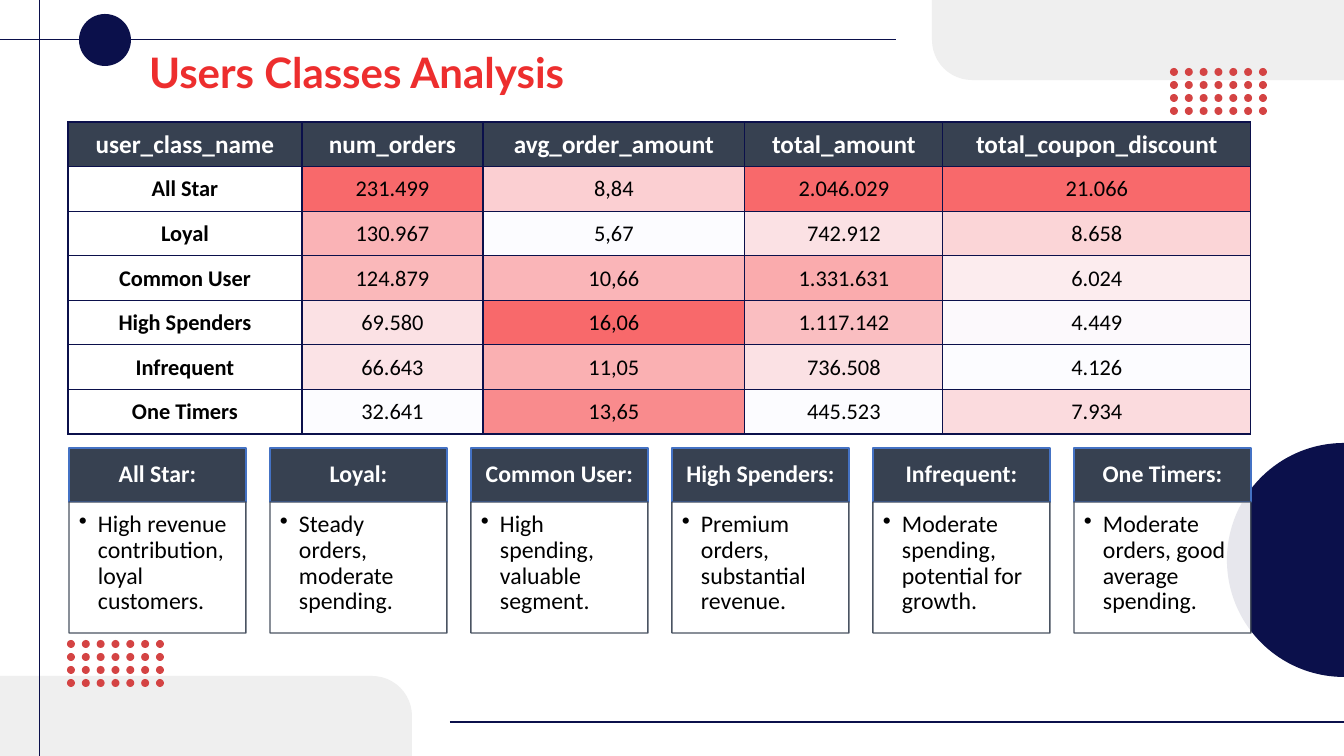
from lxml import etree
from pptx import Presentation
from pptx.dml.color import RGBColor
from pptx.enum.shapes import MSO_CONNECTOR, MSO_SHAPE
from pptx.enum.text import MSO_ANCHOR, PP_ALIGN
from pptx.oxml.ns import qn
from pptx.util import Pt

SCALE = 914400 / 100.8  # EMU in one pixel

NAVY = RGBColor(0x0B, 0x10, 0x4B)
SLATE = RGBColor(0x37, 0x41, 0x51)
BLUE = RGBColor(0x44, 0x72, 0xC4)
RED = RGBColor(0xED, 0x2E, 0x2E)
CORAL = RGBColor(0xD4, 0x43, 0x43)
GREY = RGBColor(0xEF, 0xEF, 0xEF)
WHITE = RGBColor(0xFF, 0xFF, 0xFF)
BLACK = RGBColor(0, 0, 0)
PALE = RGBColor(0xFC, 0xFC, 0xFF)
HOT = RGBColor(0xF8, 0x69, 0x6B)

RECT = MSO_SHAPE.RECTANGLE
OVAL = MSO_SHAPE.OVAL
PIE = MSO_SHAPE.PIE
ROUND = MSO_SHAPE.ROUND_1_RECTANGLE
STRAIGHT = MSO_CONNECTOR.STRAIGHT
TOP, MIDDLE, BOTTOM = MSO_ANCHOR.TOP, MSO_ANCHOR.MIDDLE, MSO_ANCHOR.BOTTOM
LEFT, CENTER = PP_ALIGN.LEFT, PP_ALIGN.CENTER

HEADS = ["user_class_name", "num_orders", "avg_order_amount",
         "total_amount", "total_coupon_discount"]
WIDTHS = [234, 181, 262, 198, 308]
ROWS = [
    ["All Star", "231.499", "8,84", "2.046.029", "21.066"],
    ["Loyal", "130.967", "5,67", "742.912", "8.658"],
    ["Common User", "124.879", "10,66", "1.331.631", "6.024"],
    ["High Spenders", "69.580", "16,06", "1.117.142", "4.449"],
    ["Infrequent", "66.643", "11,05", "736.508", "4.126"],
    ["One Timers", "32.641", "13,65", "445.523", "7.934"],
]
NOTES = [
    "High revenue contribution, loyal customers.",
    "Steady orders, moderate spending.",
    "High spending, valuable segment.",
    "Premium orders, substantial revenue.",
    "Moderate spending, potential for growth.",
    "Moderate orders, good average spending.",
]


def px(*sizes):
    """Turn pixels into a list of EMU lengths."""
    return [round(size * SCALE) for size in sizes]


def add_form(slide, kind, box, fill, line=None):
    """Add a flat preset shape, with a 1 pt outline if a line colour is given."""
    form = slide.shapes.add_shape(kind, *px(*box))
    form.shadow.inherit = False
    form.fill.solid()
    form.fill.fore_color.rgb = fill
    if line is None:
        form.line.fill.background()
    else:
        form.line.color.rgb = line
        form.line.width = Pt(1)
    return form


def add_rule(slide, *ends):
    """Add a thin navy line between two points."""
    rule = slide.shapes.add_connector(STRAIGHT, *px(*ends))
    rule.line.color.rgb = NAVY
    rule.line.width = Pt(0.75)
    etree.SubElement(rule.element.spPr, qn("a:effectLst"))


def add_dots(slide, left, top):
    """Add a grid of seven by four dots."""
    for row in range(4):
        for col in range(7):
            box = (left + col * 89 / 6, top + row * 13, 8, 8)
            add_form(slide, OVAL, box, CORAL)


def style(para, size, color, bold=False, align=CENTER, face="Calibri"):
    """Set the font and alignment of a paragraph."""
    para.alignment = align
    font = para.font
    font.name, font.size, font.bold = face, Pt(size), bold
    font.color.rgb = color


def write(shape, text, anchor, pads):
    """Put wrapped text in a shape and return its tightly set paragraph."""
    frame = shape.text_frame
    frame.word_wrap = True
    frame.vertical_anchor = anchor
    (frame.margin_left, frame.margin_top,
     frame.margin_right, frame.margin_bottom) = px(*pads)
    para = frame.paragraphs[0]
    para.text = text
    para.line_spacing = 0.9
    return para


def add_bullet(para):
    """Give a paragraph a hanging round bullet."""
    indent, = px(19)
    props = para._p.get_or_add_pPr()
    props.set("marL", str(indent))
    props.set("indent", str(-indent))
    etree.SubElement(props, qn("a:buChar"), char="•")


def fade(shape, share):
    """Set the opacity of a shape's fill and outline, in percent."""
    for color in shape.element.spPr.iter(qn("a:srgbClr")):
        etree.SubElement(color, qn("a:alpha"), val=str(share * 1000))


def add_card(slide, left, name, note):
    """Add a class heading with its note underneath."""
    head = add_form(slide, RECT, (left, 448, 177, 54), SLATE, BLUE)
    para = write(head, name + ":", MIDDLE, (13, 8, 13, 8))
    style(para, 17, WHITE, bold=True)
    body = add_form(slide, RECT, (left, 502, 177, 131), WHITE, SLATE)
    fade(body, 90)
    para = write(body, note, TOP, (10, 10, 13, 15))
    style(para, 17, BLACK, align=LEFT)
    add_bullet(para)


def number(text):
    """Read a figure; the marks do not matter within one column."""
    return int(text.replace(".", "").replace(",", ""))


def shade(text, col):
    """Blend from pale to hot by a figure's place in its column's range."""
    figs = [number(row[col]) for row in ROWS]
    part = (number(text) - min(figs)) / (max(figs) - min(figs))
    return RGBColor(*(round(a + (b - a) * part) for a, b in zip(PALE, HOT)))


def add_edges(cell):
    """Draw navy borders on all sides of a cell."""
    props = cell._tc.get_or_add_tcPr()
    for side in ("lnL", "lnR", "lnT", "lnB"):
        edge = etree.SubElement(props, qn("a:" + side), w=str(Pt(1)))
        fill = etree.SubElement(edge, qn("a:solidFill"))
        etree.SubElement(fill, qn("a:srgbClr"), val=str(NAVY))


def fill_cell(cell, text, row, col):
    """Write one table cell, coloured by its role or its value."""
    cell.vertical_anchor = MIDDLE
    (cell.margin_left, cell.margin_top,
     cell.margin_right, cell.margin_bottom) = px(1, 1, 1, 0)
    add_edges(cell)
    para = cell.text_frame.paragraphs[0]
    para.text = text
    if row == 0:
        style(para, 18, WHITE, bold=True)
    else:
        style(para, 16, BLACK, bold=col == 0)
    if row and not col:
        cell.fill.background()
    else:
        cell.fill.solid()
        cell.fill.fore_color.rgb = shade(text, col) if row else SLATE


def add_heat(slide):
    """Add the table of user classes as a heat map."""
    lines = [HEADS] + ROWS
    box = px(68, 122, sum(WIDTHS), 312)
    table = slide.shapes.add_table(len(lines), len(HEADS), *box).table
    table.horz_banding = False
    for col, width in zip(table.columns, px(*WIDTHS)):
        col.width = width
    for r, line in enumerate(lines):
        for c, text in enumerate(line):
            fill_cell(table.cell(r, c), text, r, c)


def add_decor(slide):
    """Add the corner panels, lines, dots and discs."""
    add_form(slide, ROUND, (932, 0, 412, 80), GREY).rotation = 180
    add_form(slide, ROUND, (0, 676, 412, 80), GREY)
    for panel in slide.shapes:
        panel.adjustments[0] = 0.5
    add_rule(slide, 450, 722, 1344, 722)
    add_rule(slide, 0, 40, 896, 40)
    add_rule(slide, 40, 0, 40, 756)
    add_dots(slide, 67, 640)
    add_dots(slide, 1170, 68)
    add_form(slide, OVAL, (79, 14, 52, 52), NAVY)
    half = add_form(slide, PIE, (1227, 443, 234, 234), NAVY)
    half.adjustments[0], half.adjustments[1] = 54, 162


def main():
    """Build the slide and save it."""
    deck = Presentation()
    deck.slide_width, deck.slide_height = px(1344, 756)
    slide = deck.slides.add_slide(deck.slide_layouts[6])
    add_decor(slide)
    add_heat(slide)
    for i, (row, note) in enumerate(zip(ROWS, NOTES)):
        add_card(slide, 69 + i * 201, row[0], note)
    title = slide.shapes.add_textbox(*px(139, 47, 1159, 56))
    para = write(title, "Users Classes Analysis", BOTTOM, (10, 5, 10, 5))
    style(para, 30, RED, bold=True, align=LEFT, face="Lato")
    deck.save("out.pptx")


main()
